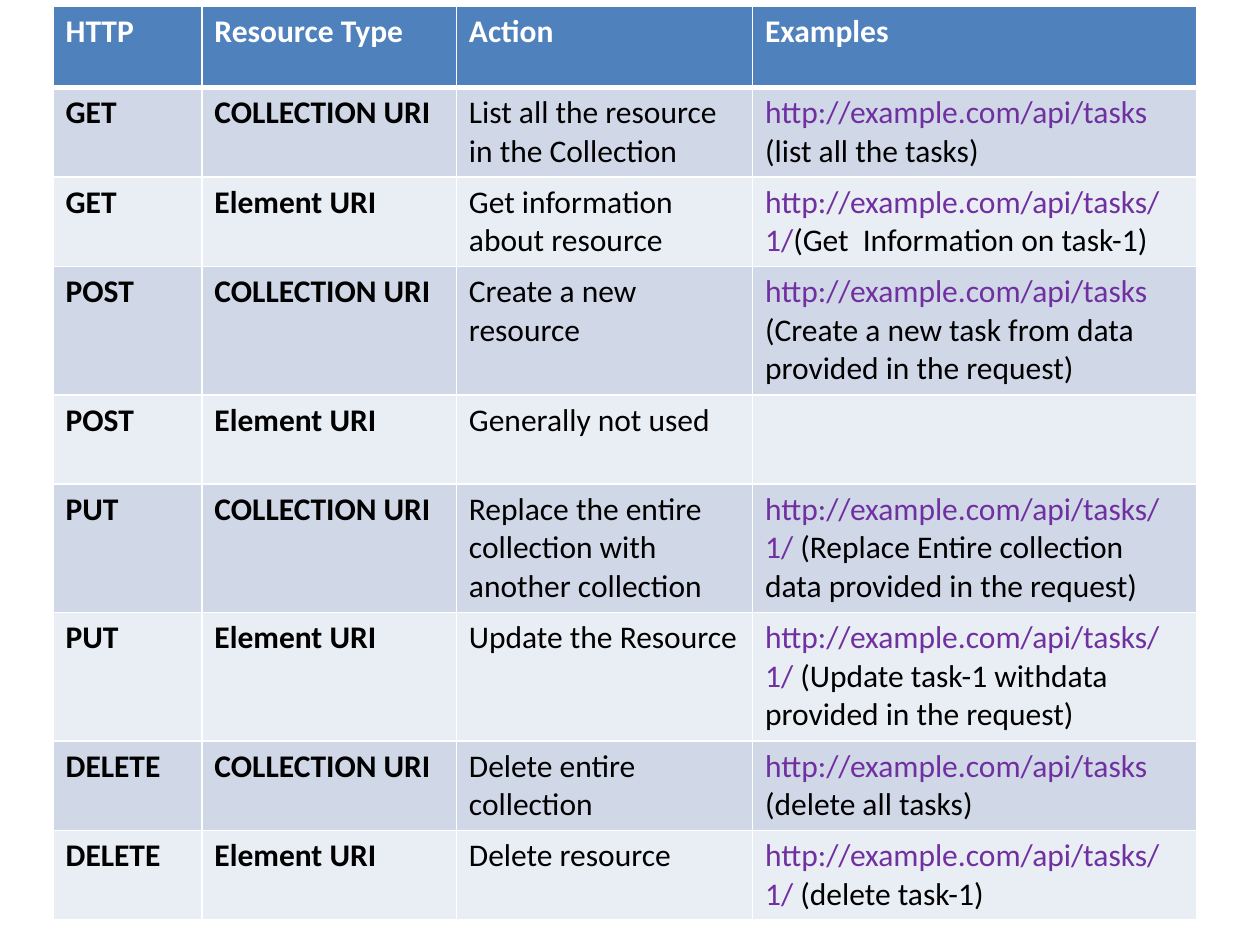
"""Build a slide with a table of REST methods, their actions and example URIs."""
from lxml.etree import SubElement
from pptx import Presentation
from pptx.dml.color import RGBColor as RGB
from pptx.oxml.ns import qn
from pptx.util import Cm, Pt

TASKS = "http://example.com/api/tasks"
TASK_1 = TASKS + "/1/"
COLLECTION, ELEMENT = "COLLECTION URI", "Element URI"
HEADER = ["HTTP", "Resource Type", "Action", "Examples"]
METHODS = [
    ("GET", COLLECTION, "List all the resource in the Collection",
     [[TASKS], ["", "(list all the tasks)"]]),
    ("GET", ELEMENT, "Get information about resource",
     [[TASK_1, "(Get  Information on task-1)"]]),
    ("POST", COLLECTION, "Create a new resource",
     [[TASKS], ["", "(Create a new task from data provided in the request)"]]),
    ("POST", ELEMENT, "Generally not used", []),
    ("PUT", COLLECTION, "Replace the entire collection with another collection",
     [[TASK_1 + " ", "(Replace Entire collection  data provided in the request)"]]),
    ("PUT", ELEMENT, "Update the Resource",
     [[TASK_1 + " ", "(Update task-1 withdata provided in the request)"]]),
    ("DELETE", COLLECTION, "Delete entire collection",
     [[TASKS], ["", "(delete all tasks)"]]),
    ("DELETE", ELEMENT, "Delete resource",
     [[TASK_1 + " ", "(delete task-1)"]]),
]
COL_WIDTHS = [3, 5.13, 5.97, 8.96]
TWO_LINES, THREE_LINES = 1.8, 2.59
ROW_HEIGHTS = [1.63, TWO_LINES, TWO_LINES, THREE_LINES, TWO_LINES,
               THREE_LINES, THREE_LINES, TWO_LINES, TWO_LINES]


def color(value):
    return RGB.from_string(value)


def add_text(p, text, size=18, fill="000000", bold=False, font="Calibri"):
    r = p.add_run()
    r.text = text
    r.font.name, r.font.size, r.font.bold = font, Pt(size), bold
    r.font.color.rgb = color(fill)


class Deck:
    white, blue, link = "FFFFFF", "4F81BD", "7030A0"
    bands = ["D0D8E8", "E9EDF4"]

    def __init__(self, prs):
        self.s = prs.slides.add_slide(prs.slide_layouts[6])

    def table(self, left, top, widths, heights):
        shape = self.s.shapes.add_table(len(heights), len(widths), Cm(left), Cm(top),
                                        Cm(sum(widths)), Cm(sum(heights)))
        tbl = shape.table
        for col, width in zip(tbl.columns, widths):
            col.width = Cm(width)
        for row, height in zip(tbl.rows, heights):
            row.height = Cm(height)
        return tbl

    def border(self, cell, **widths):
        tc_pr = cell._tc.get_or_add_tcPr()
        for side in "LRTB":
            ln = SubElement(tc_pr, qn("a:ln" + side), w=str(Pt(widths.get(side, 1))))
            fill = SubElement(ln, qn("a:solidFill"))
            SubElement(fill, qn("a:srgbClr"), val=self.white)

    def paint(self, cell, fill, **widths):
        self.border(cell, **widths)
        cell.fill.solid()
        cell.fill.fore_color.rgb = color(fill)

    def header(self, tbl, labels):
        for cell, label in zip(tbl.rows[0].cells, labels):
            self.paint(cell, self.blue, B=3)
            add_text(cell.text_frame.paragraphs[0], label, fill=self.white, bold=True)

    def method(self, tbl, i, texts, examples):
        cells = list(tbl.rows[i].cells)
        for cell in cells:
            self.paint(cell, self.bands[(i - 1) % 2], T=3 if i == 1 else 1)
        for j, text in enumerate(texts):
            add_text(cells[j].text_frame.paragraphs[0], text, bold=j < 2)
        self.examples(cells[-1].text_frame, examples)

    def examples(self, tf, lines):
        for n, parts in enumerate(lines):
            p = tf.add_paragraph() if n else tf.paragraphs[0]
            for text, fill in zip(parts, [self.link, "000000"]):
                if text:
                    add_text(p, text, fill=fill)


def main():
    prs = Presentation()
    prs.slide_width, prs.slide_height = Cm(25.4), Cm(19.05)
    deck = Deck(prs)
    tbl = deck.table(1.07, 0.13, COL_WIDTHS, ROW_HEIGHTS)
    deck.header(tbl, HEADER)
    for i, (*texts, examples) in enumerate(METHODS, 1):
        deck.method(tbl, i, texts, examples)
    prs.save("out.pptx")


if __name__ == "__main__":
    main()
